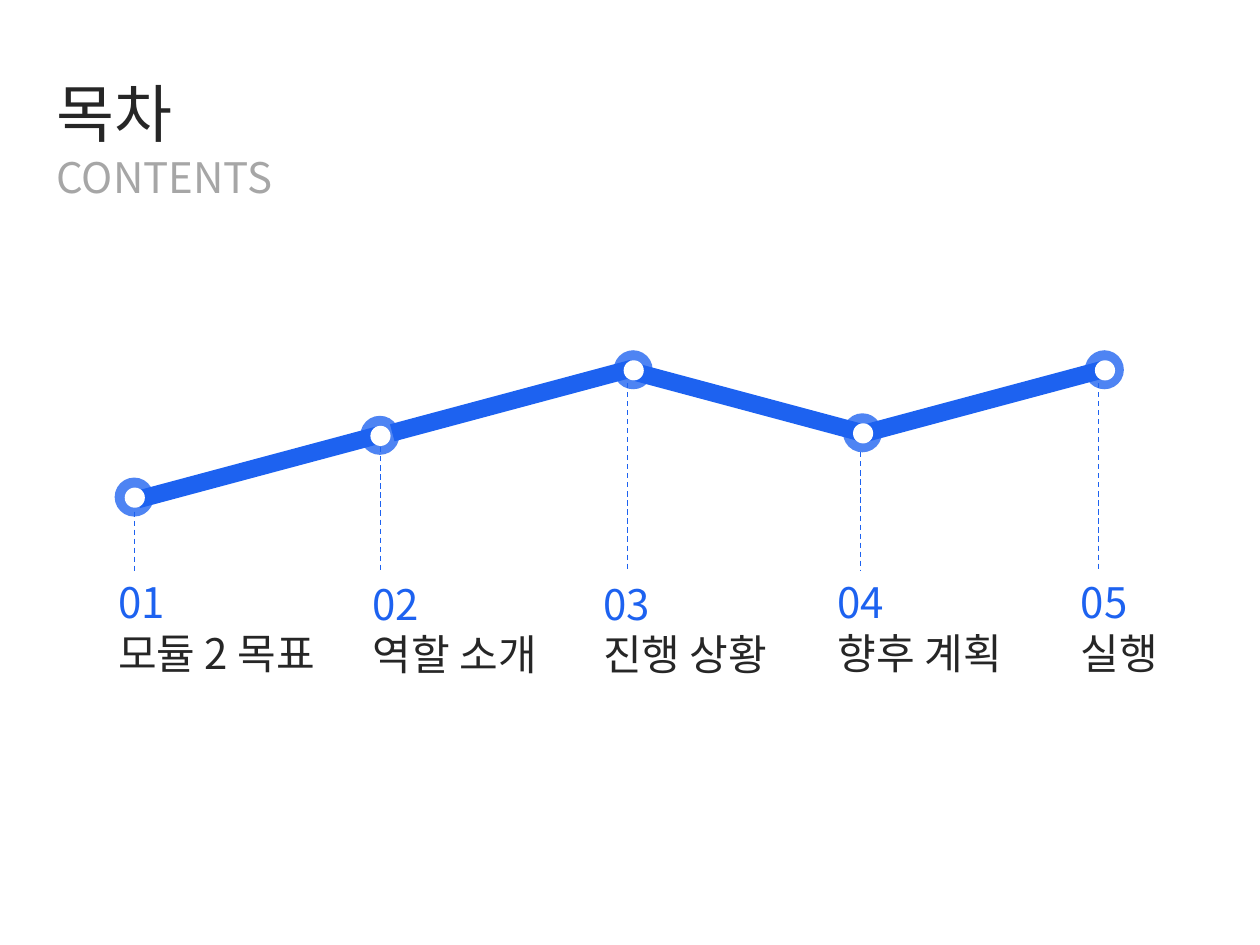
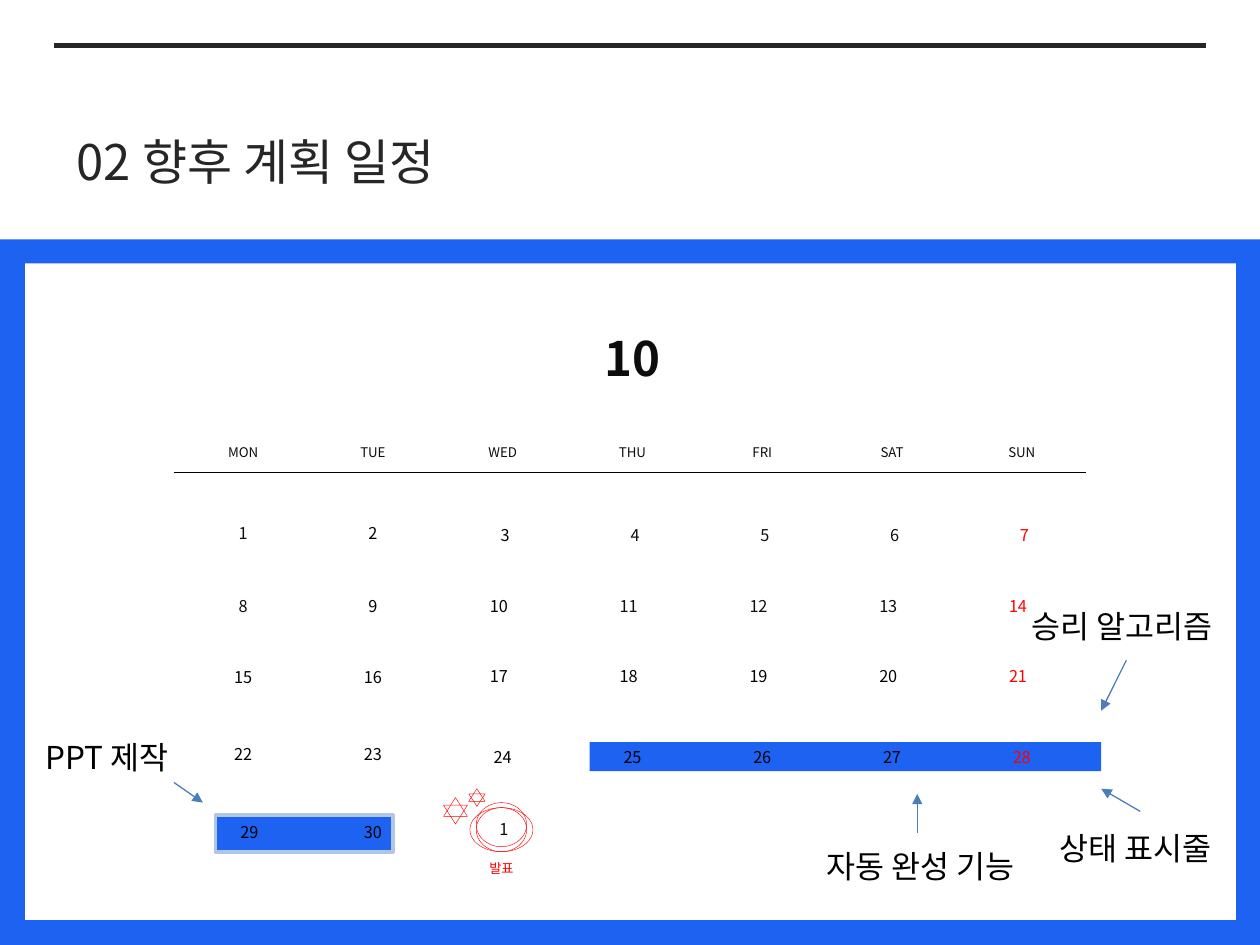
from dataclasses import dataclass

from lxml import etree
from pptx import Presentation
from pptx.dml.color import RGBColor
from pptx.enum.dml import MSO_LINE
from pptx.enum.shapes import MSO_CONNECTOR, MSO_SHAPE as SHAPE
from pptx.enum.text import MSO_ANCHOR, MSO_AUTO_SIZE, PP_ALIGN
from pptx.oxml.ns import qn
from pptx.util import Inches, Pt


@dataclass(frozen=True)
class Theme:
    font: str = "Noto Sans CJK KR"
    blue: str = "1D62F0"
    pale_blue: str = "B0C6E1"
    arrow: str = "4B7EBC"
    dark: str = "262626"
    ink: str = "0D0D0D"
    black: str = "000000"
    gray: str = "A6A6A6"
    red: str = "FF0000"
    white: str = "FFFFFF"
    cover_title: float = 36
    page_title: float = 28
    month: float = 27.1
    label: float = 24
    callout: float = 18
    day: float = 9.3
    small: float = 7.6


T = Theme()

# Bar (left, top, rotation) leading to a node, then the node (left, top, rotation)
TIMELINE = [
    ((6.81, 3.12, 345), (8.61, 2.78, 0)),
    ((4.94, 3.12, 15), (6.69, 3.28, 30)),
    ((1.06, 3.64, 345), (2.86, 3.3, 0)),
    (None, (0.91, 3.79, 0)),
    ((3.08, 3.11, 345), (4.87, 2.78, 0)),
]
# Heading, text left, top and width, drop line x and top
CHAPTERS = [
    ("모듈 2 목표", 0.84, 4.53, 2.06, 1.07, 4.06),
    ("역할 소개", 2.86, 4.54, 1.66, 3.02, 3.55),
    ("진행 상황", 4.69, 4.54, 1.66, 4.98, 3.04),
    ("향후 계획", 6.55, 4.53, 1.68, 6.83, 3.59),
    ("실행", 8.48, 4.53, 1, 8.72, 3.04),
]
DROP_END = 4.53

WEEKDAYS = ["MON", "TUE", "WED", "THU", "FRI", "SAT", "SUN"]
CALENDAR_LEFT, COLUMN_STEP = 1.43, 1.03
# Top of Monday and Tuesday, top of the other days, shift of the other days
WEEKS = [(4.1, 4.12, 0.02), (4.68, 4.68, -0.03),
         (5.25, 5.24, -0.03), (5.86, 5.88, 0)]
# Text, its left, top and width, arrow start and end
CALLOUTS = [
    ("승리 알고리즘", 8.09, 4.77, 1.92, (8.94, 5.24), (8.74, 5.64)),
    ("상태 표시줄", 8.31, 6.53, 1.66, (9.05, 6.44), (8.74, 6.26)),
    ("자동 완성 기능", 6.46, 6.67, 1.9, (7.28, 6.61), (7.28, 6.3)),
    ("PPT 제작", 0.26, 5.81, 1.25, (1.38, 6.21), (1.61, 6.37)),
]


def rgb(color):
    return RGBColor.from_string(color)


def add_run(p, text, size, color, bold=False):
    r = p.add_run()
    r.text = text
    r.font.size = Pt(size)
    r.font.bold = bold
    r.font.name = T.font
    r.font.color.rgb = rgb(color)
    ea = etree.SubElement(r.font._element, qn("a:ea"))
    ea.set("typeface", T.font)


def place(sp, left, top, width, height):
    sp.left, sp.top = Inches(left), Inches(top)
    sp.width, sp.height = Inches(width), Inches(height)


def add_title(slide, text, size, left, top, height):
    sp = slide.shapes.title
    place(sp, left, top, 7.56, height)
    tf = sp.text_frame
    tf.word_wrap = True
    tf.auto_size = MSO_AUTO_SIZE.SHAPE_TO_FIT_TEXT
    tf.vertical_anchor = MSO_ANCHOR.TOP
    p = tf.paragraphs[0]
    p.alignment = PP_ALIGN.LEFT
    add_run(p, text, size, T.dark)


def add_text(slide, lines, size, left, top, width, height,
             align=PP_ALIGN.LEFT, bold=False):
    """Add a text box with one paragraph per (text, colour) pair."""
    sp = slide.shapes.add_textbox(Inches(left), Inches(top),
                                  Inches(width), Inches(height))
    tf = sp.text_frame
    tf.word_wrap = True
    tf.auto_size = MSO_AUTO_SIZE.SHAPE_TO_FIT_TEXT
    for i, (text, color) in enumerate(lines):
        p = tf.add_paragraph() if i else tf.paragraphs[0]
        p.alignment = align
        add_run(p, text, size, color, bold)


def add_centered(slide, text, size, color, left, top, height,
                 width=1, bold=False):
    add_text(slide, [(text, color)], size, left, top, width, height,
             PP_ALIGN.CENTER, bold)


def add_day(slide, day, color, left, top, width=1):
    add_centered(slide, str(day), T.day, color, left, top, 0.26, width)


def add_shape(slide, kind, left, top, width, height, fill=None, line=None,
              weight=0.25, rotation=0, alpha=None):
    sp = slide.shapes.add_shape(kind, Inches(left), Inches(top),
                                Inches(width), Inches(height))
    sp.shadow.inherit = False
    sp.rotation = rotation
    if fill:
        sp.fill.solid()
        sp.fill.fore_color.rgb = rgb(fill)
    else:
        sp.fill.background()
    if line:
        sp.line.color.rgb = rgb(line)
        sp.line.width = Pt(weight)
    else:
        sp.line.fill.background()
    if alpha:
        color = sp._element.spPr.find(qn("a:solidFill"))[0]
        etree.SubElement(color, qn("a:alpha")).set("val", str(alpha * 1000))


def add_line(slide, start, end, color, weight, dashed=False, arrow=False):
    x1, y1, x2, y2 = map(Inches, (*start, *end))
    line = slide.shapes.add_connector(MSO_CONNECTOR.STRAIGHT, x1, y1, x2, y2)
    line.line.color.rgb = rgb(color)
    line.line.width = Pt(weight)
    if dashed:
        line.line.dash_style = MSO_LINE.DASH
    if arrow:
        ln = line.line._get_or_add_ln()
        etree.SubElement(ln, qn("a:tailEnd")).set("type", "triangle")
    etree.SubElement(line._element.spPr, qn("a:effectLst"))


def add_node(slide, left, top, rotation):
    add_shape(slide, SHAPE.OVAL, left, top, 0.31, 0.31, T.blue,
              rotation=rotation, alpha=78)
    add_shape(slide, SHAPE.OVAL, left + 0.08, top + 0.08, 0.16, 0.16,
              T.white, rotation=rotation)


def add_star(slide, left, top, width, height, drop):
    """Draw a six-pointed star from two opposed outlined triangles."""
    for y, rotation in ((top, 0), (top + drop, 180)):
        add_shape(slide, SHAPE.ISOSCELES_TRIANGLE, left, y, width, height,
                  line=T.red, rotation=rotation)


def add_timeline(slide):
    for bar, node in TIMELINE:
        if bar:
            left, top, rotation = bar
            add_shape(slide, SHAPE.RECTANGLE, left, top, 1.97, 0.14, T.blue,
                      rotation=rotation)
        add_node(slide, *node)
    for number, (name, left, top, width, x, y) in enumerate(CHAPTERS, 1):
        add_line(slide, (x, y), (x, DROP_END), T.blue, 0.75, dashed=True)
        add_text(slide, [(f"{number:02}", T.blue), (name, T.dark)],
                 T.label, left, top, width, 0.91)


def add_frame(slide):
    add_line(slide, (0.43, 0.36), (9.57, 0.36), T.dark, 3)
    add_shape(slide, SHAPE.RECTANGLE, 0, 1.9, 10, 5.6, T.blue)
    add_shape(slide, SHAPE.RECTANGLE, 0.2, 2.09, 9.61, 5.21, T.white)


def day_color(week, column):
    if column == 6:
        return T.red
    return T.ink if week < 2 and column not in (1, 2) else T.black


def add_calendar(slide):
    add_centered(slide, "10", T.month, T.ink, 4.52, 2.56, 0.56, bold=True)
    add_line(slide, (1.38, 3.75), (8.62, 3.75), T.black, 0.25)
    add_shape(slide, SHAPE.RECTANGLE, 4.68, 5.89, 4.06, 0.23, T.blue)
    for column, name in enumerate(WEEKDAYS):
        left = CALENDAR_LEFT + column * COLUMN_STEP
        add_centered(slide, name, T.small, T.ink, left, 3.48, 0.23)
        for week, (early_top, late_top, shift) in enumerate(WEEKS):
            late = column > 1
            add_day(slide, week * 7 + column + 1, day_color(week, column),
                    left + shift * late, late_top if late else early_top)
    add_shape(slide, SHAPE.RECTANGLE, 1.71, 6.47, 1.41, 0.29, T.blue,
              T.pale_blue, 2)
    add_day(slide, 29, T.black, 1.51, 6.48, 0.94)
    add_day(slide, 30, T.black, 2.49, 6.48, 0.94)


def add_presentation_day(slide):
    add_star(slide, 3.52, 6.33, 0.19, 0.15, 0.06)
    add_star(slide, 3.72, 6.26, 0.13, 0.1, 0.04)
    for left, top, width in ((3.78, 6.41, 0.4), (3.78, 6.37, 0.4),
                             (3.73, 6.41, 0.5)):
        add_shape(slide, SHAPE.OVAL, left, top, width, 0.35, line=T.red)
    add_day(slide, 1, T.ink, 3.5, 6.45)
    add_centered(slide, "발표", T.small, T.red, 3.45, 6.78, 0.23, 1.06)


def add_callouts(slide):
    for text, left, top, width, start, end in CALLOUTS:
        add_line(slide, start, end, T.arrow, 0.75, arrow=True)
        add_text(slide, [(text, T.black)], T.callout, left, top, width, 0.4)


def build_contents(slide):
    add_title(slide, "목차", T.cover_title, 0.35, 0.54, 0.71)
    add_text(slide, [("CONTENTS", T.gray)], T.label, 0.35, 1.15, 7.56, 0.5)
    add_timeline(slide)


def build_schedule(slide):
    add_title(slide, "02 향후 계획 일정", T.page_title, 0.51, 0.99, 0.57)
    add_frame(slide)
    add_calendar(slide)
    add_presentation_day(slide)
    add_callouts(slide)


def main():
    prs = Presentation()
    prs.slide_width, prs.slide_height = Inches(10), Inches(7.5)
    title_only = prs.slide_layouts[5]
    for build in (build_contents, build_schedule):
        build(prs.slides.add_slide(title_only))
    prs.save("out.pptx")


if __name__ == "__main__":
    main()
